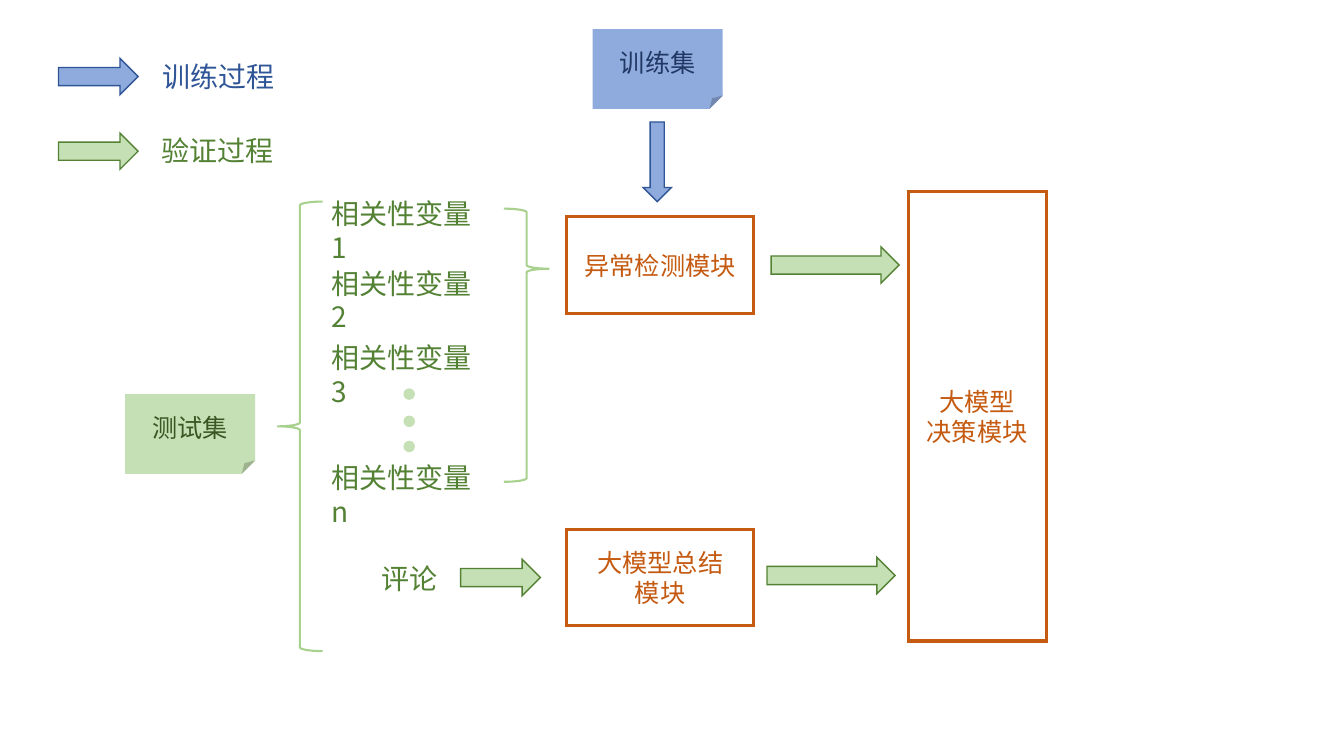
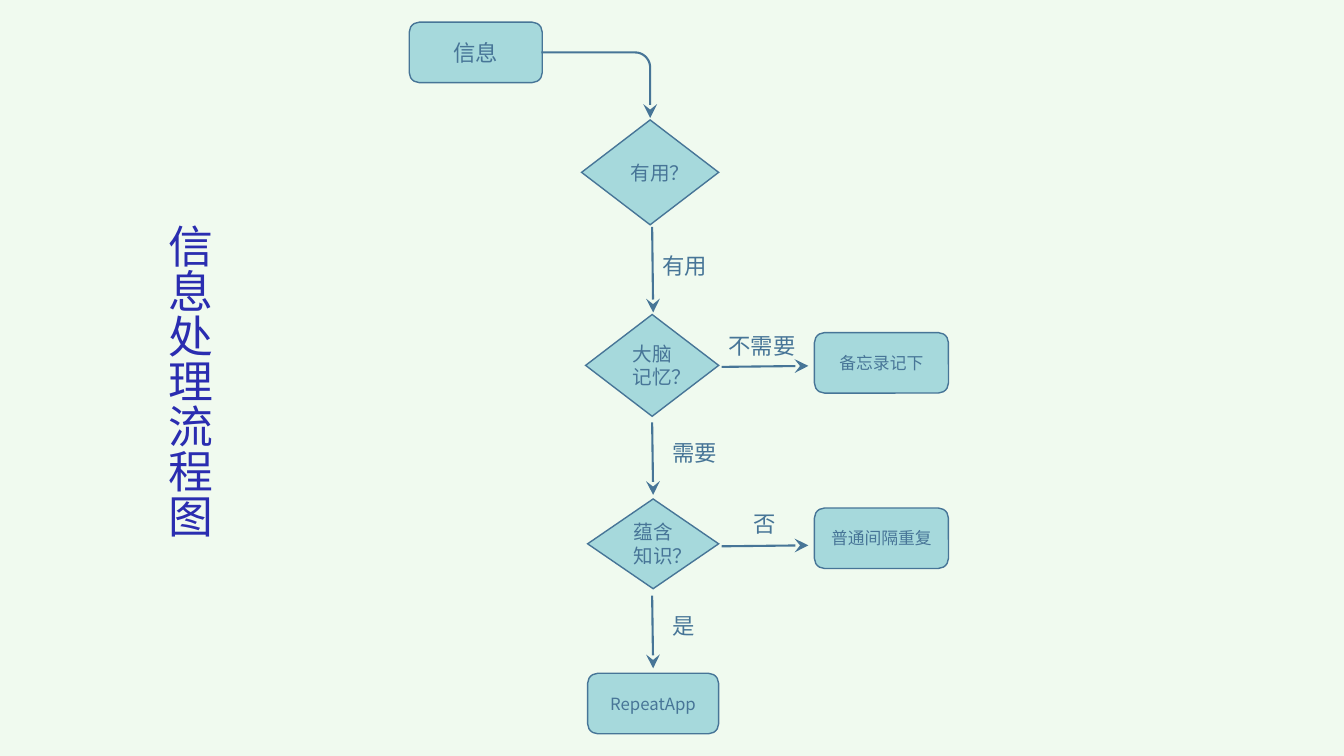
import math
from lxml import etree
from pptx import Presentation
from pptx.dml.color import RGBColor
from pptx.enum.shapes import MSO_CONNECTOR, MSO_SHAPE
from pptx.enum.text import MSO_ANCHOR, PP_ALIGN
from pptx.oxml.ns import qn
from pptx.util import Pt

PX = 9144  # 100 px to the inch
WIDE, HIGH = 1333.33, 750
FONT = "Noto Sans CJK SC"
RECT, ROUND, DOT = MSO_SHAPE.RECTANGLE, MSO_SHAPE.ROUNDED_RECTANGLE, MSO_SHAPE.OVAL
NOTE, CHOICE = MSO_SHAPE.FOLDED_CORNER, MSO_SHAPE.FLOWCHART_DECISION
RIGHT, DOWN = MSO_SHAPE.RIGHT_ARROW, MSO_SHAPE.DOWN_ARROW
OPEN, CLOSE = MSO_SHAPE.LEFT_BRACE, MSO_SHAPE.RIGHT_BRACE
STRAIGHT = MSO_CONNECTOR.STRAIGHT
MIDDLE, CENTER, LEFT = MSO_ANCHOR.MIDDLE, PP_ALIGN.CENTER, PP_ALIGN.LEFT

HUES = {
    "rust": "C55A11",
    "blue": "8FAADC", "blue_edge": "2F5597", "navy": "203864",
    "green": "C5E0B4", "green_edge": "548235", "moss": "385723", "brace": "A9D18E",
    "mint": "F0FAEF", "teal": "A6D9DC", "steel": "477597", "title": "2A2DB0",
}


def rgb(hue):
    return RGBColor.from_string(HUES[hue])


def emu(*sizes):
    return [round(size * PX) for size in sizes]


def write(frame, lines, size, hue, align):
    for i, line in enumerate(lines.split("\n")):
        para = frame.paragraphs[0] if i == 0 else frame.add_paragraph()
        para.alignment = align
        run = para.add_run()
        run.text = line
        run.font.name, run.font.size = FONT, Pt(size)
        run.font.color.rgb = rgb(hue)
        etree.SubElement(run.font._element, qn("a:ea")).set("typeface", FONT)


def draw(slide, kind, box, fill=None, edge=None, width=1):
    item = slide.shapes.add_shape(kind, *emu(*box))
    item.shadow.inherit = False
    if fill:
        item.fill.solid()
        item.fill.fore_color.rgb = rgb(fill)
    else:
        item.fill.background()
    if edge:
        item.line.color.rgb = rgb(edge)
        item.line.width = Pt(width)
        pen = item.line._get_or_add_ln()
        etree.SubElement(pen, qn("a:miter")).set("lim", "800000")
    else:
        item.line.fill.background()
    return item


def block(slide, kind, box, text, size, hue, **look):
    """A shape with centred text."""
    frame = draw(slide, kind, box, **look).text_frame
    frame.word_wrap = True
    frame.vertical_anchor = MIDDLE
    write(frame, text, size, hue, CENTER)


def label(slide, box, text, size, hue, wrap=False):
    frame = slide.shapes.add_textbox(*emu(*box)).text_frame
    frame.word_wrap = wrap
    write(frame, text, size, hue, LEFT)
    return frame


def arrow(slide, x, y, width, hue="green"):
    draw(slide, RIGHT, (x, y, width, 36), hue, hue + "_edge")


def legend(slide, x, y):
    for i, (text, hue) in enumerate([("训练过程", "blue"), ("验证过程", "green")]):
        top = y + i * 74
        arrow(slide, x, top, 79, hue)
        label(slide, (x + 93 - i, top - 4, 132, 44), text, 20, hue + "_edge")


def train(slide, x, y):
    block(slide, NOTE, (x, y, 129, 79), "训练集", 18, "navy", fill="blue")
    draw(slide, DOWN, (x + 50, y + 92, 28, 79), "blue", "blue_edge")


def inputs(slide, x, y):
    """The test set, split into variables and comments."""
    block(slide, NOTE, (x, y + 201, 129, 79), "测试集", 18, "moss", fill="green")
    draw(slide, OPEN, (x + 151, y + 10, 45, 446), edge="brace", width=1.5)
    for mark, top in zip("123n", (0, 69, 143, 262)):
        label(slide, (x + 195, y + top, 174, 44), "相关性变量" + mark, 20, "green_edge", True)
    for top in (196, 223, 248):
        draw(slide, DOT, (x + 277, y + top, 10, 10), "green", "green")
    brace = draw(slide, CLOSE, (x + 376, y + 17, 45, 271), edge="brace", width=1.5)
    brace.adjustments[0], brace.adjustments[1] = 0.08, 0.22
    label(slide, (x + 245, y + 362, 76, 44), "评论", 20, "green_edge")
    arrow(slide, x + 333, y + 365, 79)


def modules(slide, x, y):
    look = {"edge": "rust", "width": 2.25}
    for top, text in ((25, "异常检测模块"), (335, "大模型总结\n模块")):
        block(slide, RECT, (x, y + top, 186, 96), text, 18, "rust", **look)
    block(slide, RECT, (x + 339, y, 137, 446), "大模型\n决策模块", 18, "rust", **look)
    arrow(slide, x + 203, y + 55, 127)
    arrow(slide, x + 199, y + 363, 127)


def point(line):
    """Style a line and end it with a large arrowhead."""
    line.line.color.rgb = rgb("steel")
    line.line.width = Pt(1.5)
    head = etree.SubElement(line.line._get_or_add_ln(), qn("a:tailEnd"))
    for key, value in (("type", "stealth"), ("w", "lg"), ("len", "lg")):
        head.set(key, value)


def link(slide, *ends):
    line = slide.shapes.add_connector(STRAIGHT, *emu(*ends))
    point(line)
    etree.SubElement(line._element.spPr, qn("a:effectLst"))


def bend(slide, x, y, right, low, radius=15):
    """An arrow that runs right, then turns down round a curve."""
    turns = [math.radians(a) for a in range(0, 91, 6)]
    arc = [(right - radius + radius * math.sin(a), y + radius - radius * math.cos(a))
           for a in turns]
    path = slide.shapes.build_freeform(*emu(x, y))
    path.add_line_segments([emu(*spot) for spot in arc + [(right, low)]], close=False)
    line = path.convert_to_shape()
    line.shadow.inherit = False
    line.fill.background()
    point(line)


def node(slide, kind, box, text, size):
    block(slide, kind, box, text, size, "steel", fill="teal", edge="steel")


def flow(slide, x, y):
    """The column of choices with its side branches."""
    node(slide, ROUND, (x, y, 132, 60), "信息", 16)
    bend(slide, x + 131, y + 30, x + 239, y + 95)
    for box, text in (((171, 97, 136, 104), "有用？"),
                      ((175, 290, 132, 101), "大脑记忆？"),
                      ((177, 473, 130, 89), "蕴含知识？")):
        left, top, width, height = box
        node(slide, CHOICE, (x + left, y + top, width, height), text, 14)
    for top, low, left, rise, text in ((203, 288, 241, 223, "有用"),
                                       (397, 469, 251, 409, "需要"),
                                       (569, 641, 251, 580, "是")):
        link(slide, x + 241, y + top, x + 242, y + low)
        label(slide, (x + left, y + rise, 75, 37), text, 16, "steel", True)
    for top, left, rise, word, box, text in ((342, 307, 303, "不需要", 308, "备忘录记下"),
                                             (520, 332, 479, "否", 482, "普通间隔重复")):
        link(slide, x + 310, y + top, x + 396, y + top - 1)
        label(slide, (x + left, y + rise, 92, 37), word, 16, "steel", True)
        node(slide, ROUND, (x + 402, y + box, 133, 60), text, 12)
    node(slide, ROUND, (x + 177, y + 646, 130, 60), "RepeatApp", 12)


def title(slide, box):
    frame = label(slide, box, "信息处理流程图", 32, "title")
    frame._txBody.bodyPr.set("vert", "eaVert")


def main():
    deck = Presentation()
    deck.slide_width, deck.slide_height = emu(WIDE, HIGH)
    blank = deck.slide_layouts[6]

    system = deck.slides.add_slide(blank)
    legend(system, 58, 58)
    train(system, 588, 29)
    inputs(system, 124, 190)
    modules(system, 562, 190)

    chart = deck.slides.add_slide(blank)
    draw(chart, RECT, (0, 0, WIDE, HIGH), "mint")
    flow(chart, 406, 22)
    title(chart, (145, 213, 74, 324))

    deck.save("out.pptx")


if __name__ == "__main__":
    main()
